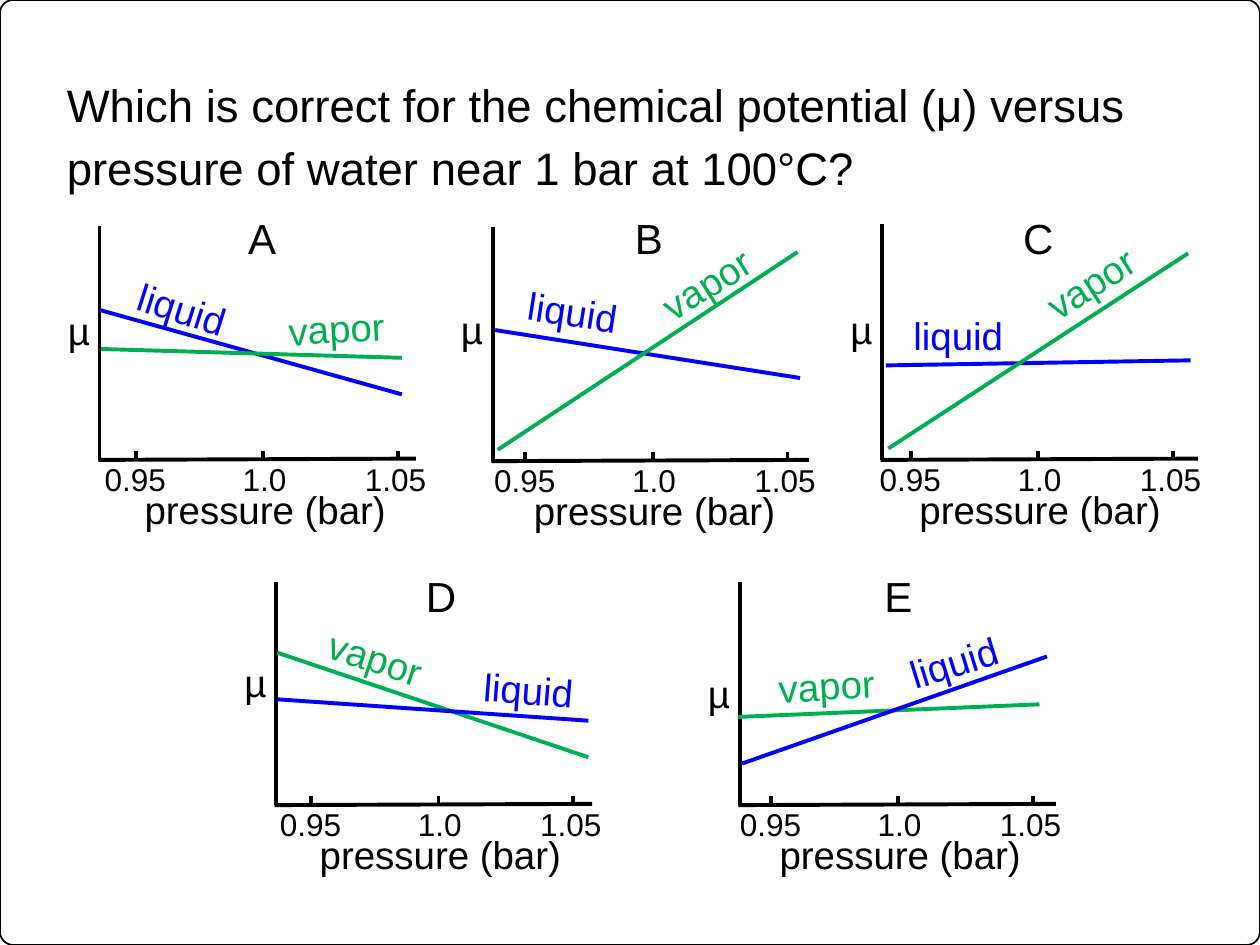
from dataclasses import dataclass

from lxml import etree
from pptx import Presentation
from pptx.dml.color import RGBColor
from pptx.enum.shapes import MSO_CONNECTOR, MSO_SHAPE
from pptx.enum.text import MSO_ANCHOR, MSO_AUTO_SIZE, PP_ALIGN
from pptx.oxml.ns import qn
from pptx.util import Inches, Pt

LEFT, CENTER = PP_ALIGN.LEFT, PP_ALIGN.CENTER
TOP = MSO_ANCHOR.TOP
GROW = MSO_AUTO_SIZE.SHAPE_TO_FIT_TEXT
STRAIGHT = MSO_CONNECTOR.STRAIGHT
ROUNDED = MSO_SHAPE.ROUNDED_RECTANGLE

COLUMNS, ROWS = 100, 75
BLACK = "000000"
PHASE_COLORS = {"liquid": "0000FF", "vapor": "00B050"}
TICKS = [("0.95", -10.1, -13.95, 7.6), ("1.0", 0, -3.3, 6.8), ("1.05", 10.7, 6.85, 7.3)]
QUESTION = ("Which is correct for the chemical potential (μ) versus "
            "pressure of water near 1 bar at 100°C?")


@dataclass
class Curve:
    phase: str
    start: tuple
    end: tuple
    label_at: tuple
    label_width: float
    angle: float = 0
    align: int = LEFT


@dataclass
class Panel:
    letter: str
    letter_center: float
    letter_row: float
    axis: float
    top: float
    base: float
    middle: float
    mu_row: float
    curves: list


PANELS = [
    Panel("A", 20.8, 16.4, 7.9, 17.9, 36.5, 20.9, 23.9, [
        Curve("liquid", (7.9, 24.6), (31.9, 31.3), (9.9, 22.2), 9.2, 17.7),
        Curve("vapor", (8, 27.7), (31.9, 28.4), (21.9, 23.7), 9.8, -3.2)]),
    Panel("B", 51.5, 16.4, 39.1, 18, 36.6, 51.8, 23.8, [
        Curve("liquid", (39.3, 26.2), (63.5, 30), (40.9, 22.4), 9.2, 8.8),
        Curve("vapor", (39.5, 35.7), (63.3, 20), (51.1, 19.6), 11.8, -32)]),
    Panel("C", 82.4, 16.4, 70, 17.8, 36.5, 82.4, 23.8, [
        Curve("liquid", (70.3, 29), (94.5, 28.6), (71.5, 24.3), 11.2),
        Curve("vapor", (70.5, 35.6), (94.3, 20.1), (80.7, 20.1), 11.8, -32.6, CENTER)]),
    Panel("D", 35, 44.8, 21.9, 46.2, 63.9, 34.8, 51.8, [
        Curve("vapor", (22, 51.8), (46.7, 60.1), (25, 49.9), 9.8, 18.3),
        Curve("liquid", (22, 55.5), (46.7, 57.2), (37.4, 52.4), 9.2, 4.6)]),
    Panel("E", 71.3, 44.8, 58.7, 46.2, 63.9, 71.3, 52.7, [
        Curve("vapor", (58.6, 56.9), (82.5, 55.9), (60.8, 52), 11.2, -3.3),
        Curve("liquid", (58.9, 60.6), (83.1, 52.1), (69.8, 50.2), 11.8, -17.3, CENTER)]),
]


def rgb(value):
    return RGBColor.from_string(value)


def write(frame, text, size=22, color=BLACK, font="Arial", align=LEFT, spacing=None):
    paragraph = frame.paragraphs[0]
    paragraph.alignment = align
    paragraph.line_spacing = spacing
    run = paragraph.add_run()
    run.text = text
    run.font.size = Pt(size)
    run.font.name = font
    run.font.color.rgb = rgb(color)


class Board:
    def __init__(self, deck):
        self.slide = deck.slides.add_slide(deck.slide_layouts[6])
        self.column = deck.slide_width / COLUMNS
        self.row = deck.slide_height / ROWS
        self.stroke = 2.25

    def place(self, *lengths):
        return [round(length * unit)
                for length, unit in zip(lengths, (self.column, self.row) * 2)]

    def frame(self):
        border = self.slide.shapes.add_shape(ROUNDED, *self.place(0, 0, COLUMNS, ROWS))
        border.adjustments[0] = 0.014
        border.shadow.inherit = False
        border.fill.background()
        border.line.color.rgb = rgb(BLACK)
        border.line.width = Pt(1)

    def question(self, text):
        box = self.slide.shapes.add_textbox(*self.place(5.3, 5.5, 87.9, 10.9))
        body = box.text_frame
        body.word_wrap = True
        body.vertical_anchor = TOP
        body.margin_left = body.margin_right = body.margin_top = body.margin_bottom = 0
        write(body, text, size=26, spacing=1.15)

    def label(self, text, left, top, width, height=4.7, angle=0, wrap=True, **style):
        box = self.slide.shapes.add_textbox(*self.place(left, top, width, height))
        box.rotation = angle
        box.text_frame.word_wrap = wrap
        box.text_frame.auto_size = GROW
        write(box.text_frame, text, **style)

    def line(self, start, end, color=BLACK):
        connector = self.slide.shapes.add_connector(STRAIGHT, *self.place(*start, *end))
        connector.line.color.rgb = rgb(color)
        connector.line.width = Pt(self.stroke)
        etree.SubElement(connector._element.spPr, qn("a:effectLst"))

    def axes(self, panel):
        axis, base, middle = panel.axis, panel.base, panel.middle
        self.label("pressure (bar)", middle - 10.55, base + 1.6, 21.4, wrap=False, align=CENTER)
        for value, mark, left, width in TICKS:
            self.label(value, middle + left, base - 0.5, width, 4, size=18, align=CENTER)
            self.line((middle + mark, base), (middle + mark, base - 0.7))
        self.line((axis - 0.1, base), (axis + 25.1, base - 0.1))
        self.line((axis, base), (axis, panel.top))
        self.label("µ", axis - 3.5, panel.mu_row, 3.8, wrap=False)

    def curve(self, curve):
        color = PHASE_COLORS[curve.phase]
        self.line(curve.start, curve.end, color)
        self.label(curve.phase, *curve.label_at, curve.label_width, angle=curve.angle,
                   wrap=curve.label_width > 10, color=color, align=curve.align)

    def panel(self, panel):
        self.label(panel.letter, panel.letter_center - 2.3, panel.letter_row, 4.6, 5,
                   size=24, align=CENTER)
        self.axes(panel)
        for curve in panel.curves:
            self.curve(curve)


def main():
    deck = Presentation()
    deck.slide_width, deck.slide_height = Inches(10), Inches(7.5)
    board = Board(deck)
    board.frame()
    board.question(QUESTION)
    for panel in PANELS:
        board.panel(panel)
    deck.save("out.pptx")


if __name__ == "__main__":
    main()
